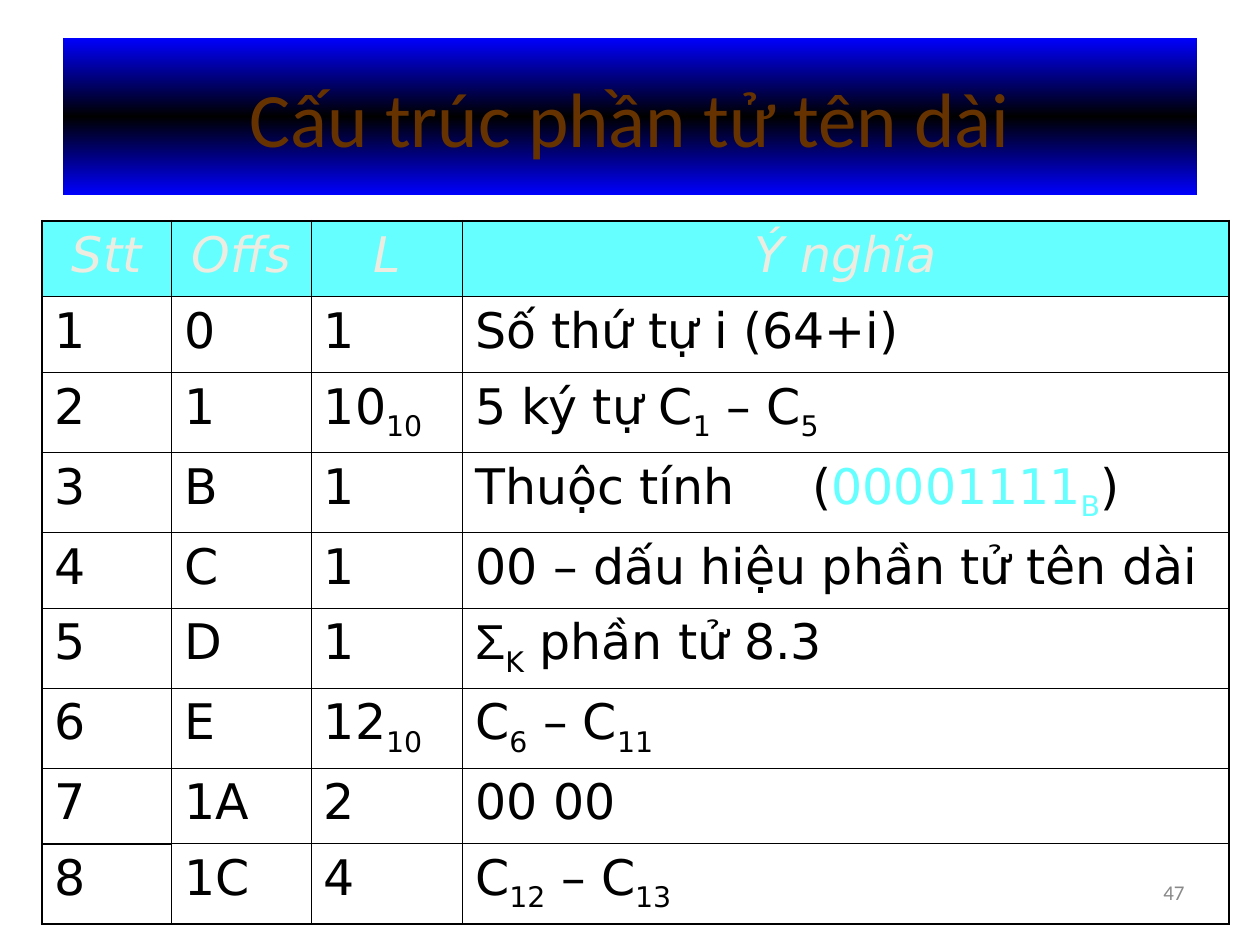
import lxml.etree
import copy
import pptx
import pptx.dml.color
import pptx.enum.shapes
import pptx.enum.text
import pptx.oxml.ns
import pptx.util

Cm = pptx.util.Cm
Pt = pptx.util.Pt
PP_ALIGN = pptx.enum.text.PP_ALIGN
COLORS = {"blue": "0000FF", "black": "000000", "brown": "663300",
          "cyan": "66FFFF", "cream": "EEECE1", "gray": "898989"}
FORMATS = {
    "title": {"size": Pt(44), "name": "Calibri"},
    "number": {"size": Pt(12), "name": "Calibri"},
    "header": {"size": Pt(28), "name": "DejaVu Sans", "italic": True},
    "body": {"size": Pt(28), "name": "DejaVu Sans", "italic": False},
}
THIN, THICK = 0.45, 1.08


def rgb(color):
    return pptx.dml.color.RGBColor.from_string(COLORS[color])


def add_run(paragraph, text, style, color):
    run = paragraph.add_run()
    run.text = text
    for attribute, value in FORMATS[style].items():
        setattr(run.font, attribute, value)
    run.font.color.rgb = rgb(color)
    return run


deck = pptx.Presentation()
deck.slide_width, deck.slide_height = Cm(25.4), Cm(19.05)
slide = deck.slides.add_slide(deck.slide_layouts[6])

page_number = slide.shapes.add_textbox(Cm(18.2), Cm(17.35), Cm(5.93), Cm(1.27))
page_number.text_frame.word_wrap = True
page_number.text_frame.vertical_anchor = pptx.enum.text.MSO_ANCHOR.MIDDLE
page_number.text_frame.paragraphs[0].alignment = PP_ALIGN.RIGHT
add_run(page_number.text_frame.paragraphs[0], "47", "number", "gray")

title = slide.shapes.add_shape(pptx.enum.shapes.MSO_SHAPE.RECTANGLE,
                               Cm(1.27), Cm(0.76), Cm(22.86), Cm(3.18))
title.shadow.inherit = False
title.line.fill.background()
title.fill.gradient()
title.fill.gradient_angle = 270
stop_list = title.fill._xPr.find(".//" + pptx.oxml.ns.qn("a:gsLst"))
stop_list.insert(1, copy.deepcopy(stop_list[0]))
for stop, (position, color) in zip(title.fill.gradient_stops,
                                   [(0, "blue"), (0.5, "black"), (1, "blue")]):
    stop.position = position
    stop.color.rgb = rgb(color)
title.text_frame.word_wrap = True
title.text_frame.vertical_anchor = pptx.enum.text.MSO_ANCHOR.MIDDLE
title.text_frame.paragraphs[0].alignment = PP_ALIGN.CENTER
add_run(title.text_frame.paragraphs[0], "Cấu trúc phần tử tên dài", "title", "brown")

FIELDS = [
    ("Stt", "Offs", "L", "Ý nghĩa"),
    ("1", "0", "1", "Số thứ tự i (64+i)"),
    ("2", "1", "10_10_", "5 ký tự C_1_ – C_5_"),
    ("3", "B", "1", "Thuộc tính\t(|00001111_B_|)"),
    ("4", "C", "1", "00 – dấu hiệu phần tử tên dài"),
    ("5", "D", "1", "Σ_K_ phần tử 8.3"),
    ("6", "E", "12_10_", "C_6_ – C_11_"),
    ("7", "1A", "2", "00 00"),
    ("8", "1C", "4", "C_12_ – C_13_"),
]
WIDTHS = [2.62, 2.82, 3.05, 15.44]
HEIGHTS = [1.61 if "_" in "".join(field) else 1.53 for field in FIELDS]
LAST_ROW, LAST_COLUMN = len(FIELDS) - 1, len(WIDTHS) - 1

fields_table = slide.shapes.add_table(len(FIELDS), len(WIDTHS), Cm(0.84), Cm(4.45),
                                      Cm(sum(WIDTHS)), Cm(sum(HEIGHTS))).table
fields_table.first_row = fields_table.horz_banding = False
for column, width in zip(fields_table.columns, WIDTHS):
    column.width = Cm(width)

for row, field in enumerate(FIELDS):
    fields_table.rows[row].height = Cm(HEIGHTS[row])
    style, base_color = ("body", "black") if row else ("header", "cream")
    for column, entry in enumerate(field):
        cell = fields_table.cell(row, column)
        cell.margin_left = cell.margin_right = Cm(0.25)
        cell.margin_top = cell.margin_bottom = Cm(0.13)
        if row:
            cell.fill.background()
        else:
            cell.fill.solid()
            cell.fill.fore_color.rgb = rgb("cyan")

        paragraph = cell.text_frame.paragraphs[0]
        if "\t" in entry:
            tabs = lxml.etree.SubElement(paragraph._p.get_or_add_pPr(),
                                         pptx.oxml.ns.qn("a:tabLst"))
            lxml.etree.SubElement(tabs, pptx.oxml.ns.qn("a:tab"),
                                  pos=str(Cm(6.8)), algn="l")
        paragraph.alignment = PP_ALIGN.LEFT if row else PP_ALIGN.CENTER
        for piece, section in enumerate(entry.split("|")):
            color = "cyan" if piece % 2 else base_color
            for level, text in enumerate(section.split("_")):
                if text:
                    run = add_run(paragraph, text, style, color)
                    if level % 2:
                        run.font._element.set("baseline", "-25000")
                    if text == "Σ":
                        run.font.name = "Arial"

        marked = 3 <= row <= 6
        borders = {
            "a:lnL": column == 0 or (column == 1 and marked),
            "a:lnR": column == LAST_COLUMN or (column == 0 and marked),
            "a:lnT": row == 0 or (column == 0 and row == LAST_ROW),
            "a:lnB": row == LAST_ROW or (column == 0 and row == LAST_ROW - 1),
        }
        for order, (side, thick) in enumerate(borders.items()):
            border = lxml.etree.Element(pptx.oxml.ns.qn(side),
                                        w=str(Pt(THICK if thick else THIN)))
            solid = lxml.etree.SubElement(border, pptx.oxml.ns.qn("a:solidFill"))
            lxml.etree.SubElement(solid, pptx.oxml.ns.qn("a:srgbClr"),
                                  val=COLORS["black"])
            cell._tc.get_or_add_tcPr().insert(order, border)

deck.save("out.pptx")
